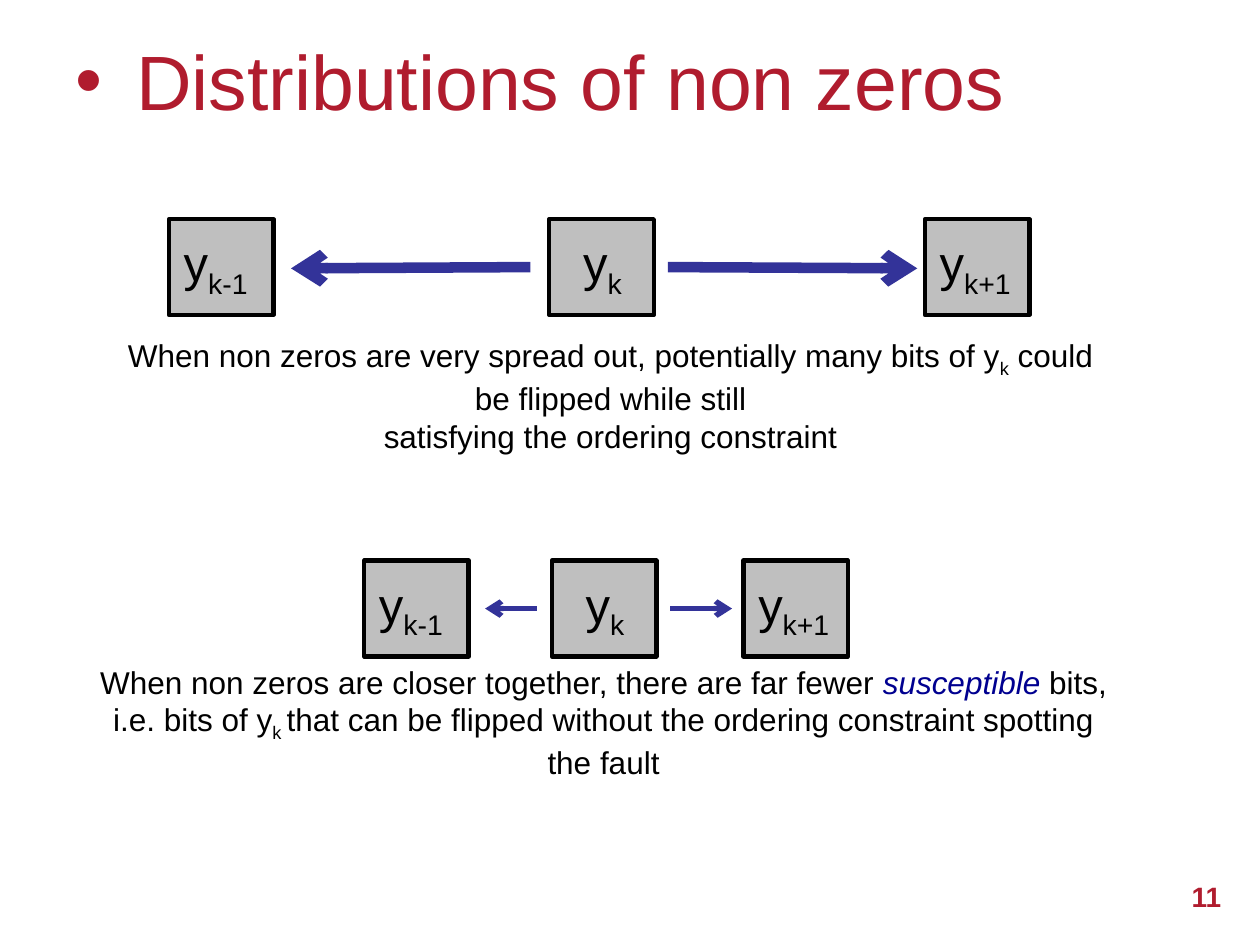
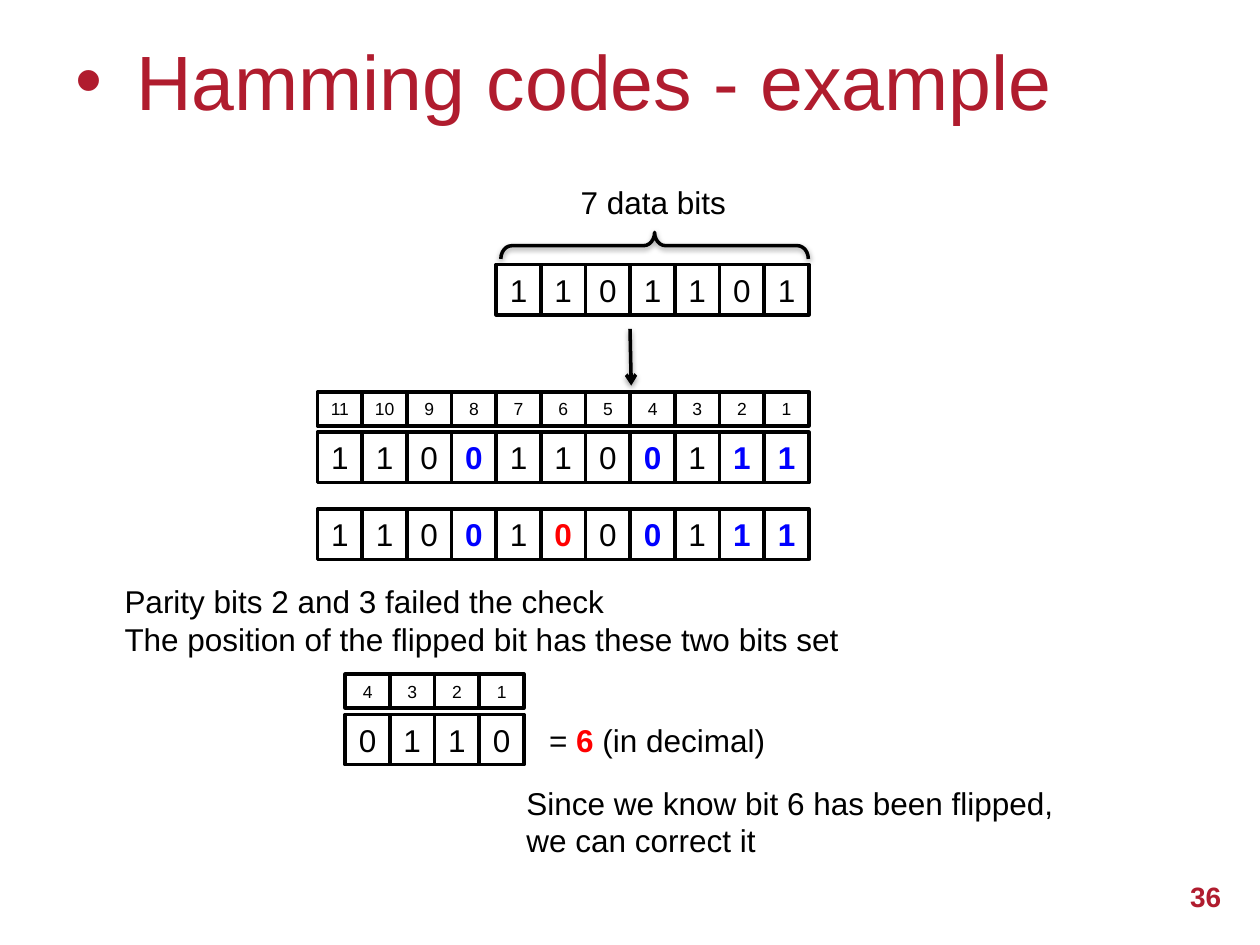
from lxml.etree import SubElement
from pptx import Presentation
from pptx.dml.color import RGBColor
from pptx.enum.shapes import MSO_CONNECTOR, MSO_SHAPE
from pptx.enum.text import MSO_ANCHOR, MSO_AUTO_SIZE, PP_ALIGN
from pptx.oxml.ns import qn
from pptx.util import Inches, Pt

COLOURS = {
    "title": "B01C2E", "ink": "000000", "box": "BFBFBF", "arrow": "333399",
    "paper": "FFFFFF", "parity": "0000FF", "flipped": "FF0000", "term": "000090",
}
FONT = "Arial"
GRID_LEFT = 2.52
COLUMN = 3.9 / 11
BIT_HEIGHT = 0.4
INDEX_HEIGHT = 0.27
INDEX_STEP = 0.32
BOX_WIDTH = 0.83
BOX_HEIGHT = 0.76
NEIGHBOURS = [("k-1", 0.02, 0.76), ("k", 0.17, 0.53), ("k+1", 0.02, 0.83)]


def colour(name):
    """Return the named colour."""
    return RGBColor.from_string(COLOURS[name])


def add_span(para, text, size=18, ink="ink", bold=False, italic=False, sub=False):
    """Add one formatted run to a paragraph."""
    span = para.add_run()
    span.text = text
    font = span.font
    font.name, font.size, font.bold, font.italic = FONT, Pt(size), bold, italic
    font.color.rgb = colour(ink)
    if sub:
        span._r.get_or_add_rPr().set("baseline", "-25000")


def add_text(shapes, area, paragraphs, align=PP_ALIGN.LEFT, wrap=True, anchor=MSO_ANCHOR.TOP):
    """Add a text box; each paragraph is a list of (text, style) spans."""
    box = shapes.add_textbox(*map(Inches, area))
    frame = box.text_frame
    frame.word_wrap = wrap
    frame.vertical_anchor = anchor
    if anchor == MSO_ANCHOR.TOP:
        frame.auto_size = MSO_AUTO_SIZE.SHAPE_TO_FIT_TEXT
    for index, spans in enumerate(paragraphs):
        para = frame.add_paragraph() if index else frame.paragraphs[0]
        para.alignment = align
        for text, style in spans:
            add_span(para, text, **style)


def add_box(shapes, area, fill, weight):
    """Add an outlined rectangle."""
    box = shapes.add_shape(MSO_SHAPE.RECTANGLE, *map(Inches, area))
    box.shadow.inherit = False
    box.fill.solid()
    box.fill.fore_color.rgb = colour(fill)
    box.line.color.rgb = colour("ink")
    box.line.width = Pt(weight)
    return box


def set_effects(shape, shadow):
    """Give a shape a soft drop shadow, or none."""
    properties = shape._element.spPr
    for old in properties.findall(qn("a:effectLst")):
        properties.remove(old)
    effects = SubElement(properties, qn("a:effectLst"))
    if shadow:
        drop = SubElement(effects, qn("a:outerShdw"), blurRad="40000", dist="20000",
                          dir="5400000", rotWithShape="0")
        ink = SubElement(drop, qn("a:srgbClr"), val=COLOURS["ink"])
        SubElement(ink, qn("a:alpha"), val="38000")


def add_arrow(shapes, start, end, ink, weight, shadow=False):
    """Add a line with an open arrowhead at its end."""
    arrow = shapes.add_connector(MSO_CONNECTOR.STRAIGHT, *map(Inches, start + end))
    arrow.line.color.rgb = colour(ink)
    arrow.line.width = Pt(weight)
    SubElement(arrow._element.spPr.find(qn("a:ln")), qn("a:tailEnd"), type="arrow")
    set_effects(arrow, shadow)


def add_page(deck, title, number):
    """Add a page with a bulleted title and a page number."""
    page = deck.slides.add_slide(deck.slide_layouts[5])
    holder = page.shapes.title
    holder.left, holder.top, holder.width, holder.height = map(Inches, (0.5, 0.01, 9, 1.25))
    frame = holder.text_frame
    frame.auto_size = MSO_AUTO_SIZE.NONE
    frame.vertical_anchor = MSO_ANCHOR.MIDDLE
    para = frame.paragraphs[0]
    para.alignment = PP_ALIGN.LEFT
    properties = para._p.get_or_add_pPr()
    properties.set("marL", str(Inches(0.48)))
    properties.set("indent", str(-Inches(0.48)))
    SubElement(properties, qn("a:buFont"), typeface=FONT)
    SubElement(properties, qn("a:buChar"), char="•")
    add_span(para, title, 44, "title")
    add_text(page.shapes, (9.02, 6.85, 0.77, 0.52),
             [[(number, {"size": 16, "ink": "title", "bold": True})]],
             PP_ALIGN.RIGHT, anchor=MSO_ANCHOR.MIDDLE)
    return page


def add_neighbours(shapes, top, lefts, arrows, weight, drop=0):
    """Draw y with its two neighbours and the arrows between them."""
    middle = top + BOX_HEIGHT / 2
    for start, end in arrows:
        add_arrow(shapes, (start, middle), (end, middle + drop), "arrow", weight)
    for left, (index, inset, width) in zip(lefts, NEIGHBOURS):
        add_box(shapes, (left, top, BOX_WIDTH, BOX_HEIGHT), "box", 2.5)
        add_text(shapes, (left + inset, top + 0.06, width, 0.57),
                 [[("y", {"size": 28}), (index, {"size": 28, "sub": True})]], wrap=False)


def add_cells(page, left, top, values, height=BIT_HEIGHT, size=18, marks=None):
    """Draw a row of cells; marks maps positions, counted from the right, to colours."""
    row = page.shapes.add_group_shape()
    marks = marks or {}
    for index, value in enumerate(values):
        mark = marks.get(len(values) - index)
        cell = add_box(row.shapes, (left + index * COLUMN, top, COLUMN, height), "paper", 2)
        frame = cell.text_frame
        frame.margin_left = frame.margin_right = 0
        frame.vertical_anchor = MSO_ANCHOR.MIDDLE
        para = frame.paragraphs[0]
        para.alignment = PP_ALIGN.CENTER
        add_span(para, str(value), size, mark or "ink", bold=mark is not None)


def add_indexed_cells(page, left, top, values, marks=None):
    """Draw a row of bits below a row of their positions."""
    add_cells(page, left, top, range(len(values), 0, -1), INDEX_HEIGHT, 10)
    add_cells(page, left, top + INDEX_STEP, values, marks=marks)


def add_brace(page, area):
    """Add a brace turned to open downwards."""
    brace = page.shapes.add_shape(MSO_SHAPE.LEFT_BRACE, *map(Inches, area))
    brace.rotation = 90
    brace.adjustments[0] = 0.41
    brace.fill.background()
    brace.line.color.rgb = colour("ink")
    brace.line.width = Pt(2)
    set_effects(brace, True)


def build_distributions(deck):
    """Build the page on the spacing of non zeros."""
    page = add_page(deck, "Distributions of non zeros", "11")
    add_neighbours(page.shapes, 1.74, (1.34, 4.36, 7.34), ((4.21, 2.31), (5.3, 7.28)), 6, 0.01)
    add_text(page.shapes, (0.85, 2.62, 7.99, 1.31), [
        [("When non zeros are very spread out, potentially many bits of y", {}),
         ("k", {"sub": True}), (" could be flipped while still", {})],
        [("satisfying the ordering constraint", {})],
    ], PP_ALIGN.CENTER)
    close = page.shapes.add_group_shape().shapes
    add_neighbours(close, 4.45, (2.89, 4.38, 5.9), ((4.26, 3.85), (5.32, 5.81)), 3)
    add_text(close, (0.69, 5.21, 8.2, 1.31), [[
        ("When non zeros are closer together, there are far fewer ", {}),
        ("susceptible ", {"ink": "term", "italic": True}),
        ("bits, i.e. bits of y", {}),
        ("k ", {"sub": True}),
        ("that can be flipped without the ordering constraint spotting the fault", {}),
    ]], PP_ALIGN.CENTER)


def build_hamming(deck):
    """Build the page with the worked Hamming code."""
    page = add_page(deck, "Hamming codes - example", "36")
    parity = {position: "parity" for position in (1, 2, 4, 8)}
    add_text(page.shapes, (4.51, 1.4, 1.36, 0.4), [[("7 data bits", {})]])
    add_brace(page, (5.09, 0.73, 0.21, 2.44))
    add_cells(page, GRID_LEFT + 4 * COLUMN, 2.1, "1101101")
    add_arrow(page.shapes, (5, 2.61), (5.01, 3.06), "ink", 2, shadow=True)
    add_indexed_cells(page, GRID_LEFT, 3.11, "11001100111", parity)
    add_cells(page, GRID_LEFT, 4.04, "11001000111", marks={**parity, 6: "flipped"})
    add_text(page.shapes, (0.89, 4.57, 5.93, 0.71), [
        [("Parity bits 2 and 3 failed the check", {})],
        [("The position of the flipped bit has these two bits set", {})],
    ], wrap=False)
    add_indexed_cells(page, 2.74, 5.35, "0110")
    add_text(page.shapes, (4.26, 5.67, 2, 0.4), [[
        ("= ", {}), ("6", {"ink": "flipped", "bold": True}), (" (in decimal)", {}),
    ]])
    add_text(page.shapes, (4.08, 6.17, 4.38, 0.71),
             [[("Since we know bit 6 has been flipped, we can correct it", {})]])


def main():
    """Build and save the deck."""
    deck = Presentation()
    deck.slide_width, deck.slide_height = Inches(10), Inches(7.5)
    build_distributions(deck)
    build_hamming(deck)
    deck.save("out.pptx")


main()
